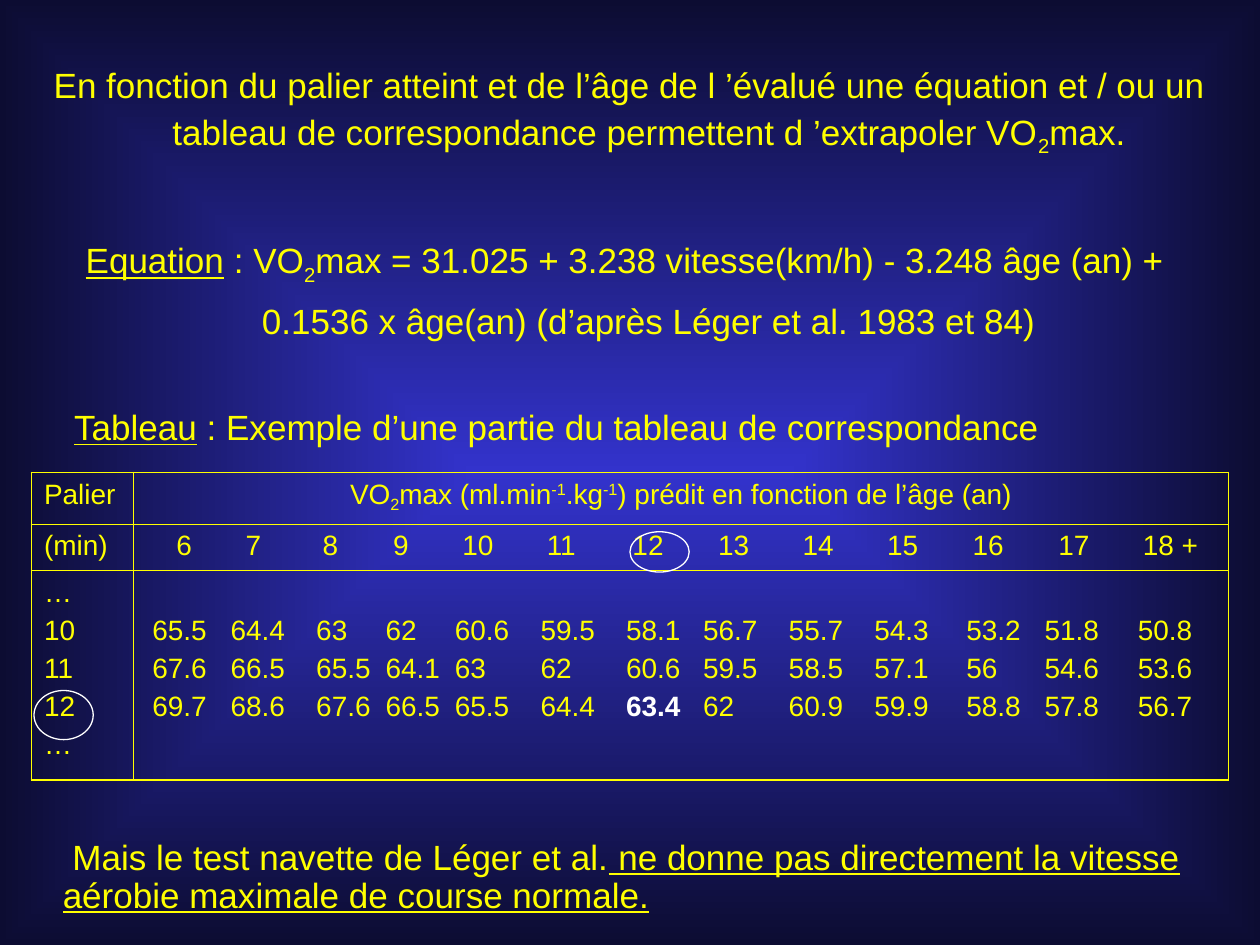
from lxml import etree
from pptx import Presentation
from pptx.dml.color import RGBColor
from pptx.enum.shapes import MSO_SHAPE as Shape
from pptx.enum.text import MSO_AUTO_SIZE as AutoSize, PP_ALIGN as Align
from pptx.oxml.ns import qn
from pptx.util import Inches, Pt

YELLOW = RGBColor(0xFF, 0xFF, 0x00)
WHITE = RGBColor(0xFF, 0xFF, 0xFF)
BLUE = RGBColor(0x33, 0x33, 0xCC)
NAVY = RGBColor(0x0C, 0x0C, 0x32)

# Run styles
PLAIN, UNDER, SUB, SUP, STRONG = "plain", "under", "sub", "sup", "strong"
BASELINE = {SUB: "-25000", SUP: "30000"}
THIN, THICK = 0.45, 1.08

AGE_TABS = [0.24, 0.79, 1.4, 1.96] + [round(2.51 + 0.675 * i, 2) for i in range(9)]
VALUE_TABS = [0.05, 0.67, 1.35, 1.9, 2.45, 3.13, 3.81, 4.42, 5.1, 5.78, 6.51, 7.13, 7.87]
AGES = "6 7 8 9 10 11 12 13 14 15 16 17 18\u00a0+".replace("\u00a0", "_").split()
VALUES = [
    "65.5 64.4 63 62 60.6 59.5 58.1 56.7 55.7 54.3 53.2 51.8 50.8".split(),
    "67.6 66.5 65.5 64.1 63 62 60.6 59.5 58.5 57.1 56 54.6 53.6".split(),
    "69.7 68.6 67.6 66.5 65.5 64.4 63.4 62 60.9 59.9 58.8 57.8 56.7".split(),
]
MARKED = "63.4"


def tabbed(values):
    """One run per value, each on its own tab stop."""
    return [("\t" + v.replace("_", " "), STRONG if v == MARKED else PLAIN) for v in values]


class Deck:
    """Style and current slide."""

    def __init__(self, prs):
        self.s = prs.slides.add_slide(prs.slide_layouts[6])

    def background(self, inner, outer):
        fill = self.s.background.fill
        fill.gradient()
        for stop, color in zip(fill.gradient_stops, (inner, outer)):
            stop.color.rgb = color
        grad = self.s.element.find(".//" + qn("a:gradFill"))
        grad.remove(grad.find(qn("a:lin")))
        shade = etree.SubElement(grad, qn("a:path"), {"path": "rect"})
        etree.SubElement(shade, qn("a:fillToRect"), {side: "50000" for side in "ltrb"})

    def paragraphs(self, tf, paras, size, before=0, spacing=None, align=Align.LEFT, tabs=()):
        for i, runs in enumerate(paras):
            p = tf.paragraphs[0] if i == 0 else tf.add_paragraph()
            p.alignment = align
            p.space_before = Pt(before if i else 0)
            if spacing:
                p.line_spacing = spacing
            if tabs:
                tab_list = etree.SubElement(p._p.get_or_add_pPr(), qn("a:tabLst"))
                for pos in tabs:
                    etree.SubElement(tab_list, qn("a:tab"), {"pos": str(Inches(pos)), "algn": "l"})
            for text, style in runs:
                r = p.add_run()
                r.text = text
                font = r.font
                font.name, font.size = "Arial", Pt(size)
                font.color.rgb = WHITE if style == STRONG else YELLOW
                font.bold, font.underline = style == STRONG, style == UNDER
                if style in BASELINE:
                    r._r.get_or_add_rPr().set("baseline", BASELINE[style])

    def text(self, x, y, w, h, paras, wrap=False, **style):
        sp = self.s.shapes.add_textbox(Inches(x), Inches(y), Inches(w), Inches(h))
        tf = sp.text_frame
        tf.word_wrap = wrap
        tf.auto_size = AutoSize.NONE if wrap else AutoSize.SHAPE_TO_FIT_TEXT
        self.paragraphs(tf, paras, 20, **style)
        return tf

    def table(self, x, y, widths, heights):
        table = self.s.shapes.add_table(len(heights), len(widths), Inches(x), Inches(y),
                                        Inches(sum(widths)), Inches(sum(heights))).table
        table.first_row = table.horz_banding = False
        for col, w in zip(table.columns, widths):
            col.width = Inches(w)
        for row, h in zip(table.rows, heights):
            row.height = Inches(h)
        return table

    def cell(self, table, row, col, paras, **style):
        cell = table.cell(row, col)
        cell.fill.background()
        self.paragraphs(cell.text_frame, paras, 16, before=4, **style)
        # Thick lines around the table, thin ones inside
        outer = {"L": col == 0, "R": col == len(table.columns) - 1,
                 "T": row == 0, "B": row == len(table.rows) - 1}
        tc_pr = cell._tc.get_or_add_tcPr()
        for i, (side, is_outer) in enumerate(outer.items()):
            ln = etree.Element(qn("a:ln" + side), {"w": str(Pt(THICK if is_outer else THIN))})
            fill = etree.SubElement(ln, qn("a:solidFill"))
            etree.SubElement(fill, qn("a:srgbClr"), {"val": str(YELLOW)})
            tc_pr.insert(i, ln)
        return cell

    def ring(self, x, y, w, h):
        sp = self.s.shapes.add_shape(Shape.OVAL, Inches(x), Inches(y), Inches(w), Inches(h))
        sp.shadow.inherit = False
        sp.fill.background()
        sp.line.color.rgb = WHITE
        sp.line.width = Pt(0.75)


def main():
    prs = Presentation()
    prs.slide_width, prs.slide_height = Inches(10), Inches(7.5)
    deck = Deck(prs)
    deck.background(BLUE, NAVY)

    # Introduction and equation
    tf = deck.text(0.17, 0.42, 9.58, 2.42, [
        [(" En fonction du palier atteint et de l’âge de l ’évalué une équation et / ou un "
          "tableau de correspondance permettent d ’extrapoler VO", PLAIN),
         ("2", SUB), ("max.", PLAIN)],
        [("Equation", UNDER), (" : VO", PLAIN), ("2", SUB),
         ("max = 31.025 + 3.238 vitesse(km/h) - 3.248 âge (an) + "
          "0.1536 x âge(an) (d’après Léger et al. 1983 et 84)", PLAIN)],
    ], wrap=True, before=38, spacing=1.1, align=Align.CENTER)
    for p in tf.paragraphs:
        p_pr = p._p.get_or_add_pPr()
        p_pr.set("marL", str(Inches(0.38)))
        p_pr.set("indent", str(Inches(-0.38)))
    tf.paragraphs[1].line_spacing = 1.3

    # Correspondence table
    table = deck.table(0.25, 3.75, [0.81, 8.69], [0.41, 0.37, 1.66])
    deck.cell(table, 0, 0, [[("Palier", PLAIN)]])
    deck.cell(table, 0, 1, [[("VO", PLAIN), ("2", SUB), ("max (ml.min", PLAIN), ("-1", SUP),
                             (".kg", PLAIN), ("-1", SUP),
                             (") prédit en fonction de l’âge (an)", PLAIN)]], align=Align.CENTER)
    deck.cell(table, 1, 0, [[("(min)", PLAIN)]])
    deck.cell(table, 1, 1, [tabbed(AGES)], tabs=AGE_TABS)
    deck.cell(table, 2, 0, [[(level, PLAIN)] for level in ("…", "10", "11", "12", "…")])
    values = deck.cell(table, 2, 1, [tabbed(row) for row in VALUES], tabs=VALUE_TABS)
    values.margin_top = Inches(0.35)

    # Table caption
    deck.text(0.49, 3.17, 7.89, 0.44, [
        [("Tableau", UNDER), (" : Exemple d’une partie du tableau de correspondance", PLAIN)]])

    # Conclusion
    deck.text(0.4, 6.67, 9.14, 0.64, [
        [(" Mais le test navette de Léger et al.", PLAIN),
         (" ne donne pas directement la vitesse", UNDER)],
        [("aérobie maximale de course normale.", UNDER)],
    ], before=5, spacing=0.7)

    # Rings around the age and the level
    deck.ring(5, 4.22, 0.47, 0.32)
    deck.ring(0.27, 5.48, 0.47, 0.39)

    prs.save("out.pptx")


if __name__ == "__main__":
    main()
